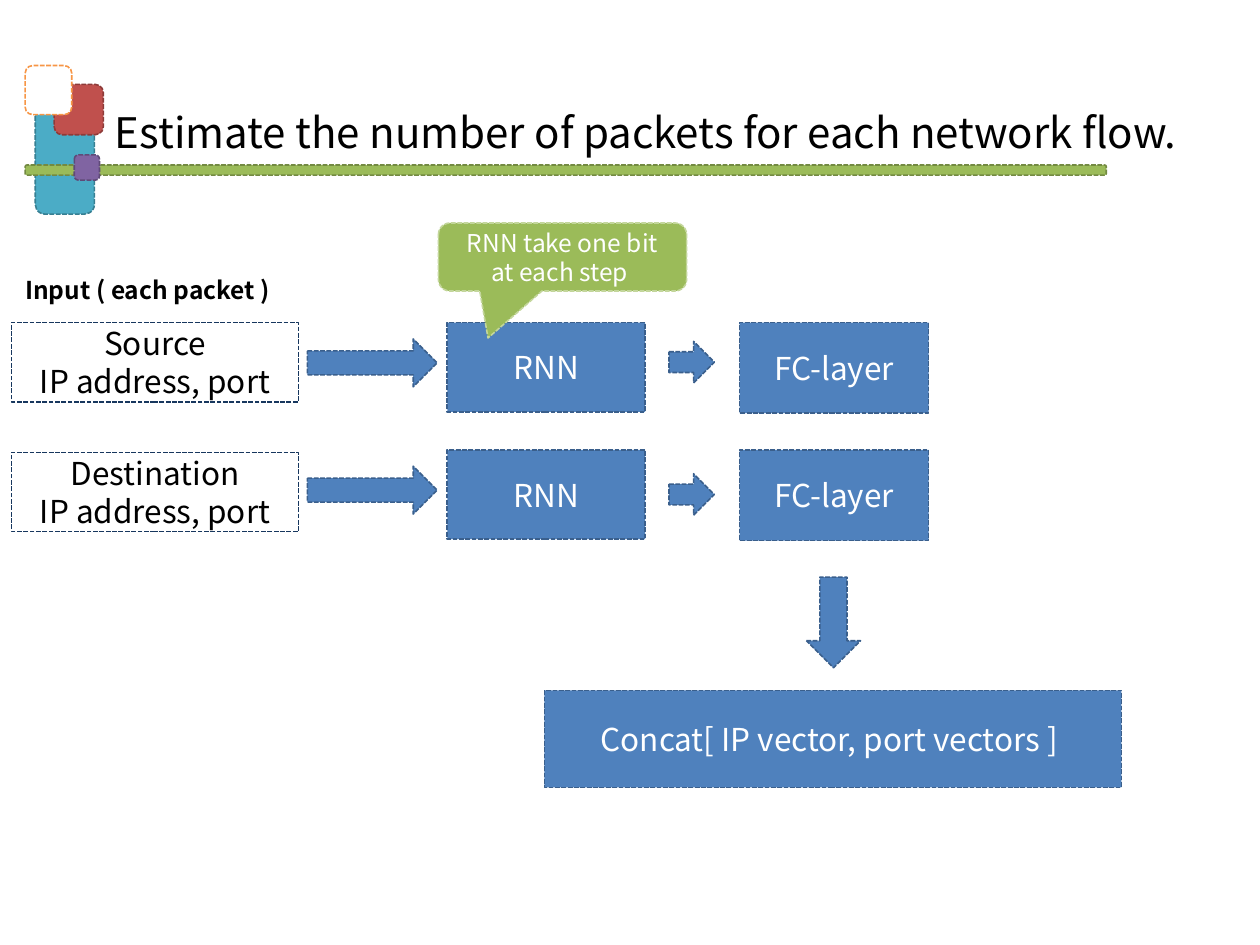
from pptx import Presentation
from pptx.dml.color import RGBColor
from pptx.enum.dml import MSO_LINE_DASH_STYLE as Dash
from pptx.enum.shapes import MSO_SHAPE as Shape
from pptx.enum.text import MSO_ANCHOR as Anchor, MSO_AUTO_SIZE as AutoSize, PP_ALIGN as Align
from pptx.util import Inches, Pt

FONT = "Noto Sans CJK KR"
COLORS = {
    "black": "000000", "white": "FFFFFF", "navy": "17375E",
    "blue": "4F81BD", "blue_edge": "3A5F8C",
    "teal": "4BACC6", "teal_edge": "377F92",
    "green": "9BBB59", "green_edge": "738A42", "green_pale": "C3D69B",
    "red": "C0504D", "red_edge": "8E3B39", "orange": "F79646",
    "purple": "8064A2", "purple_edge": "5F4A78",
}

# Flow grid: left edge of each column, top of each row
COLUMNS = {"input": 0.09, "long_arrow": 2.44, "rnn": 3.55, "short_arrow": 5.31, "fc": 5.87}
FIRST_ROW, ROW_STEP = 2.56, 1.01


def color(name):
    return RGBColor.from_string(COLORS[name])


def write(box, lines, size, ink, align=Align.CENTER, spacing=None, bold=False):
    """Fill a text frame with one run per line."""
    frame = box.text_frame
    frame.word_wrap = True
    frame.auto_size = AutoSize.NONE
    frame.vertical_anchor = Anchor.MIDDLE
    for i, line in enumerate(lines):
        para = frame.paragraphs[0] if i == 0 else frame.add_paragraph()
        para.alignment = align
        if spacing:
            para.line_spacing = spacing
        span = para.add_run()
        span.text = line
        span.font.name = FONT
        span.font.size = Pt(size)
        span.font.bold = bold
        span.font.color.rgb = color(ink)


def add_block(page, kind, area, fill="blue", edge="blue_edge", lines=(), size=18, ink="white"):
    """Add a dashed-outline shape; area is left, top, width, height in inches."""
    block = page.shapes.add_shape(kind, *map(Inches, area))
    block.shadow.inherit = False
    if fill:
        block.fill.solid()
        block.fill.fore_color.rgb = color(fill)
    else:
        block.fill.background()
    block.line.color.rgb = color(edge)
    block.line.width = Pt(0.9)
    block.line.dash_style = Dash.SQUARE_DOT
    if lines:
        write(block, lines, size, ink)
    return block


def add_decoration(page):
    for area, hue, edge in [
        ((0.28, 0.7, 0.47, 1), "teal", "teal_edge"),
        ((0.2, 1.31, 8.58, 0.08), "green", "green_edge"),
        ((0.43, 0.67, 0.39, 0.4), "red", "red_edge"),
        ((0.2, 0.52, 0.37, 0.39), "white", "orange"),
        ((0.59, 1.23, 0.2, 0.2), "purple", "purple_edge"),
    ]:
        add_block(page, Shape.ROUNDED_RECTANGLE, area, hue, edge)


def add_title(page, text):
    title = page.shapes.title
    title.left, title.top, title.width, title.height = map(Inches, (0.75, 0.3, 8.75, 1.09))
    write(title, [text], 24, "black", spacing=2)


def add_flow_row(page, row, source, input_drop, arrow_drop):
    """Input -> RNN -> FC-layer; drops place the input and short arrow below the row top."""
    top = FIRST_ROW + row * ROW_STEP
    add_block(page, Shape.RECTANGLE, (COLUMNS["input"], top + input_drop, 2.28, 0.63),
              None, "navy", [source, "IP address, port"], ink="black")
    add_block(page, Shape.RIGHT_ARROW, (COLUMNS["long_arrow"], top + 0.13, 1.03, 0.38))
    add_block(page, Shape.RECTANGLE, (COLUMNS["rnn"], top, 1.57, 0.71), lines=["RNN"])
    add_block(page, Shape.RIGHT_ARROW, (COLUMNS["short_arrow"], top + arrow_drop, 0.36, 0.33))
    add_block(page, Shape.RECTANGLE, (COLUMNS["fc"], top, 1.5, 0.72), lines=["FC-layer"])


def add_callout(page):
    callout = add_block(page, Shape.ROUNDED_RECTANGULAR_CALLOUT, (3.48, 1.77, 1.97, 0.54),
                        "green", "green_pale", ["RNN take one bit at each step "], 14)
    for i, value in enumerate((-0.3, 1.19, 0.17)):
        callout.adjustments[i] = value


def main():
    deck = Presentation()
    deck.slide_width, deck.slide_height = Inches(10), Inches(7.5)
    page = deck.slides.add_slide(deck.slide_layouts[5])

    # Heading
    add_decoration(page)
    add_title(page, "Estimate the number of packets for each network flow.")

    # Input heading
    heading = page.shapes.add_textbox(*map(Inches, (0.1, 1.87, 2.52, 0.62)))
    write(heading, ["Input ( each packet )"], 14, "black", Align.LEFT, 2, True)

    # Two parallel branches
    add_flow_row(page, 0, "Source", 0, 0.15)
    add_flow_row(page, 1, "Destination", 0.02, 0.19)
    add_callout(page)

    # Merge of both branches
    add_block(page, Shape.DOWN_ARROW, (6.4, 4.58, 0.43, 0.72))
    add_block(page, Shape.RECTANGLE, (4.32, 5.48, 4.58, 0.77),
              lines=["Concat[ IP vector, port vectors ] "])

    deck.save("out.pptx")


if __name__ == "__main__":
    main()
